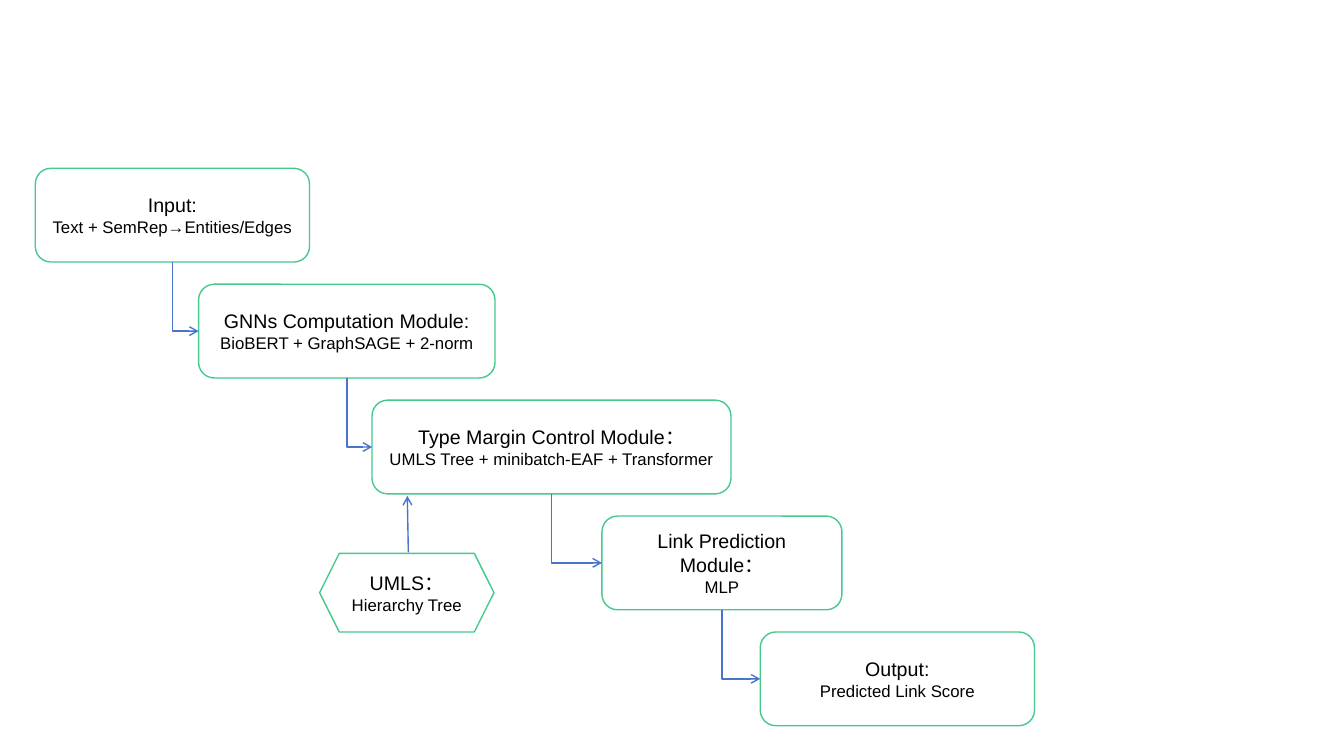
import pptx
import pptx.dml.color
import pptx.enum.shapes
import pptx.enum.text
import pptx.oxml.ns
import pptx.util
from lxml import etree

Inches = pptx.util.Inches
Pt = pptx.util.Pt
Shape = pptx.enum.shapes.MSO_SHAPE
Connector = pptx.enum.shapes.MSO_CONNECTOR
qn = pptx.oxml.ns.qn

BORDER = "45C98C"
ARROW = "4874CB"
STAGE_TOP = 1.67
STAGE_STEP = 1.15
STAGE_HEIGHT = 0.93

STAGES = [
    (0.35, 2.72, "Input:", "Text + SemRep→Entities/Edges"),
    (1.97, 2.94, "GNNs Computation Module:", "BioBERT + GraphSAGE + 2-norm"),
    (3.69, 3.56, "Type Margin Control Module：", "UMLS Tree + minibatch-EAF + Transformer"),
    (5.97, 2.38, "Link Prediction Module：", "MLP"),
    (7.54, 2.72, "Output:", "Predicted Link Score"),
]


def color(hex_code):
    return pptx.dml.color.RGBColor.from_string(hex_code)


def write(paragraph, text, size=12, font="Arial", ink="000000"):
    paragraph.alignment = pptx.enum.text.PP_ALIGN.CENTER
    run = paragraph.add_run()
    run.text = text
    run.font.size = Pt(size)
    run.font.name = font
    run.font.color.rgb = color(ink)


def add_module(slide, outline, left, top, width, height, heading, detail):
    module = slide.shapes.add_shape(
        outline, Inches(left), Inches(top), Inches(width), Inches(height))
    module.shadow.inherit = False
    module.fill.background()
    module.line.color.rgb = color(BORDER)
    module.line.width = Pt(1)
    frame = module.text_frame
    frame.word_wrap = True
    frame.vertical_anchor = pptx.enum.text.MSO_ANCHOR.MIDDLE
    write(frame.paragraphs[0], heading, size=14)
    write(frame.add_paragraph(), detail)
    return module


def add_arrow(slide, kind, start_x, start_y, end_x, end_y):
    arrow = slide.shapes.add_connector(kind, start_x, start_y, end_x, end_y)
    arrow.line.color.rgb = color(ARROW)
    arrow.line.width = Pt(1)
    etree.SubElement(arrow.line._get_or_add_ln(), qn("a:tailEnd"), type="arrow")
    etree.SubElement(arrow._element.spPr, qn("a:effectLst"))
    return arrow


def link_stages(slide, upper, lower):
    start_x = upper.left + upper.width // 2
    start_y = upper.top + upper.height
    run = lower.left - start_x
    drop = lower.top + lower.height // 2 - start_y
    arrow = add_arrow(slide, Connector.ELBOW,
                      start_x, start_y, start_x + run, start_y + drop)
    arrow.begin_connect(upper, 2)
    arrow.end_connect(lower, 1)
    arrow.left = start_x + (run - drop) // 2
    arrow.top = start_y + (drop - run) // 2
    arrow.width, arrow.height = drop, run
    properties = arrow._element.spPr
    properties.find(qn("a:prstGeom")).set("prst", "bentConnector2")
    placement = properties.find(qn("a:xfrm"))
    placement.set("rot", "5400000")
    placement.set("flipV", "1")


def add_cascade(slide, top, step, height):
    modules = [
        add_module(slide, Shape.ROUNDED_RECTANGLE, left, top + step * index,
                   width, height, heading, detail)
        for index, (left, width, heading, detail) in enumerate(STAGES)
    ]
    for upper, lower in zip(modules, modules[1:]):
        link_stages(slide, upper, lower)


def add_hierarchy(slide, left, top, width, height):
    add_module(slide, Shape.HEXAGON, left, top, width, height,
               "UMLS：", "Hierarchy Tree")
    add_arrow(slide, Connector.STRAIGHT,
              Inches(left + 0.88), Inches(top - 0.01),
              Inches(left + 0.87), Inches(top - 0.57))


def main():
    presentation = pptx.Presentation()
    presentation.slide_width = Inches(13.33)
    presentation.slide_height = Inches(7.5)
    slide = presentation.slides.add_slide(presentation.slide_layouts[6])
    add_cascade(slide, STAGE_TOP, STAGE_STEP, STAGE_HEIGHT)
    add_hierarchy(slide, 3.17, 5.49, 1.73, 0.78)
    presentation.save("out.pptx")


if __name__ == "__main__":
    main()
